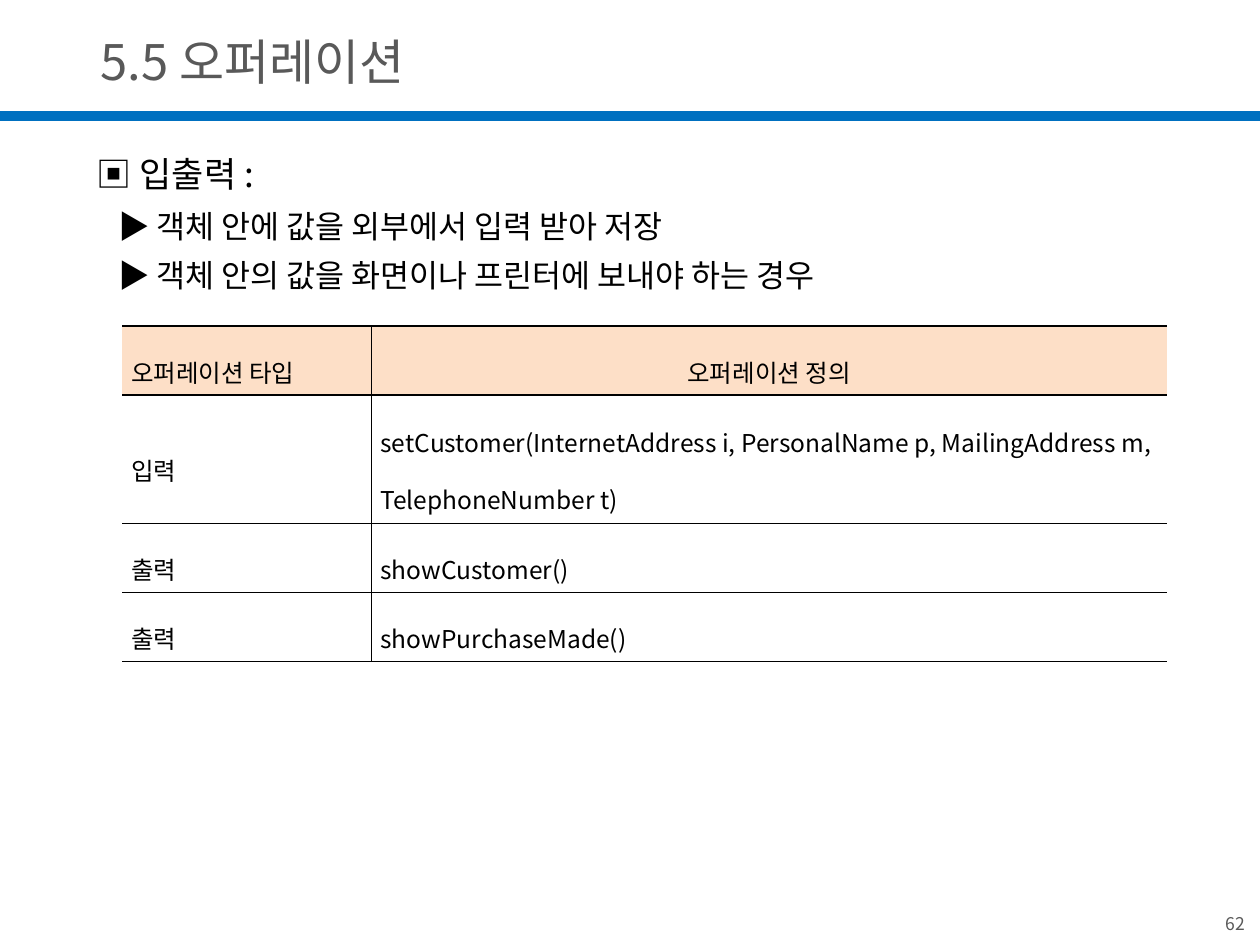
from dataclasses import dataclass

import lxml.etree
import pptx
import pptx.dml.color
import pptx.enum.shapes
import pptx.enum.text
import pptx.oxml.ns
import pptx.util

Align = pptx.enum.text.PP_ALIGN
Anchor = pptx.enum.text.MSO_ANCHOR
RGBColor = pptx.dml.color.RGBColor

BLACK = RGBColor(0x00, 0x00, 0x00)
GRAY = RGBColor(0x59, 0x59, 0x59)
BLUE = RGBColor(0x00, 0x70, 0xC0)
PEACH = RGBColor(0xFD, 0xDF, 0xC7)
FONT = "Noto Sans CJK KR"
WIDTH, HEIGHT = pptx.util.Inches(10), pptx.util.Inches(7.5)


@dataclass
class Region:
    """A rectangle in percent of the slide's width and height."""
    left: float
    top: float
    width: float
    height: float

    def lengths(self) -> tuple[int, int, int, int]:
        return (across(self.left), down(self.top),
                across(self.width), down(self.height))


@dataclass
class Line:
    text: str
    size: float
    color: RGBColor = BLACK
    align: Align = Align.LEFT
    before: float = 0
    indent: float = 0
    spacing: float = 1


TITLE = Line("5.5 오퍼레이션", 28, GRAY)
PAGE_NUMBER = Line("62", 10, GRAY, Align.RIGHT)
POINTS = [
    Line("▣ 입출력 :", 20, before=7.5),
    Line("▶ 객체 안에 값을 외부에서 입력 받아 저장", 18, before=6.8, indent=1.7),
    Line("▶ 객체 안의 값을 화면이나 프린터에 보내야 하는 경우", 18, before=6.8, indent=1.7),
]
OPERATIONS = [
    ("오퍼레이션 타입", "오퍼레이션 정의"),
    ("입력", "setCustomer(InternetAddress i, PersonalName p, "
             "MailingAddress m, TelephoneNumber t)"),
    ("출력", "showCustomer()"),
    ("출력", "showPurchaseMade()"),
]
COLUMN_SHARES = [19.8, 63.1]
ROW_SHARES = [7.3, 13.6, 7.3, 7.3]


def across(percent: float) -> int:
    return round(WIDTH * percent / 100)


def down(percent: float) -> int:
    return round(HEIGHT * percent / 100)


def child(parent, tag: str, **attributes: str):
    return lxml.etree.SubElement(parent, pptx.oxml.ns.qn(tag), **attributes)


def write(para, line: Line) -> None:
    para.add_run().text = line.text
    para.alignment = line.align
    para.line_spacing = line.spacing
    para.space_before = pptx.util.Pt(line.before)
    font = para.font
    font.name, font.size = FONT, pptx.util.Pt(line.size)
    font.color.rgb = line.color
    properties = para._p.get_or_add_pPr()
    properties.set("marL", str(across(line.indent)))
    child(properties.find(pptx.oxml.ns.qn("a:defRPr")), "a:ea", typeface=FONT)


def add_text(page, region: Region, lines: list[Line],
             anchor: Anchor = Anchor.TOP) -> None:
    frame = page.shapes.add_textbox(*region.lengths()).text_frame
    frame.word_wrap = True
    frame.vertical_anchor = anchor
    for index, line in enumerate(lines):
        write(frame.add_paragraph() if index else frame.paragraphs[0], line)


def add_rule(page, top: float) -> None:
    rule = page.shapes.add_connector(
        pptx.enum.shapes.MSO_CONNECTOR.STRAIGHT, 0, down(top), WIDTH, down(top))
    rule.line.color.rgb = BLUE
    rule.line.width = pptx.util.Pt(6)
    child(rule._element.spPr, "a:effectLst")


def set_borders(cell, widths: dict[str, float]) -> None:
    """Draw the given sides (L, R, T, B) in black; a width of 0 hides a side."""
    properties = cell._tc.get_or_add_tcPr()
    for index, (side, width) in enumerate(widths.items()):
        border = child(properties, f"a:ln{side}", w=str(pptx.util.Pt(width)))
        if width:
            child(child(border, "a:solidFill"), "a:srgbClr", val=str(BLACK))
        else:
            child(border, "a:noFill")
        properties.insert(index, border)


def add_operations(page) -> None:
    region = Region(9.7, 34.5, sum(COLUMN_SHARES), sum(ROW_SHARES))
    table = page.shapes.add_table(
        len(ROW_SHARES), len(COLUMN_SHARES), *region.lengths()).table
    table.first_row = table.horz_banding = False
    for column, share in zip(table.columns, COLUMN_SHARES):
        column.width = across(share)
    for row, share in zip(table.rows, ROW_SHARES):
        row.height = down(share)

    for row_index, texts in enumerate(OPERATIONS):
        header = row_index == 0
        thin = 0.85 if header else 0.57
        for column_index, text in enumerate(texts):
            cell = table.cell(row_index, column_index)
            cell.vertical_anchor = Anchor.MIDDLE
            cell.margin_left = cell.margin_right = pptx.util.Inches(0.07)
            if header:
                cell.fill.solid()
                cell.fill.fore_color.rgb = PEACH
            else:
                cell.fill.background()
            set_borders(cell, {
                "L": thin if column_index else 0,
                "R": 0 if column_index else thin,
                "T": 0.85 if row_index < 2 else 0.57,
                "B": thin,
            })
            align = Align.CENTER if header and column_index else Align.LEFT
            write(cell.text_frame.paragraphs[0],
                  Line(text, 14, align=align, spacing=1.6))


def main() -> None:
    deck = pptx.Presentation()
    deck.slide_width, deck.slide_height = WIDTH, HEIGHT
    page = deck.slides.add_slide(deck.slide_layouts[6])
    add_rule(page, 12.3)
    add_text(page, Region(6.7, 15.5, 85.5, 17.5), POINTS)
    add_operations(page)
    add_text(page, Region(91.4, 96.3, 8.4, 2.8), [PAGE_NUMBER], Anchor.MIDDLE)
    add_text(page, Region(7, 2.7, 85, 8.7), [TITLE])
    deck.save("out.pptx")


if __name__ == "__main__":
    main()
